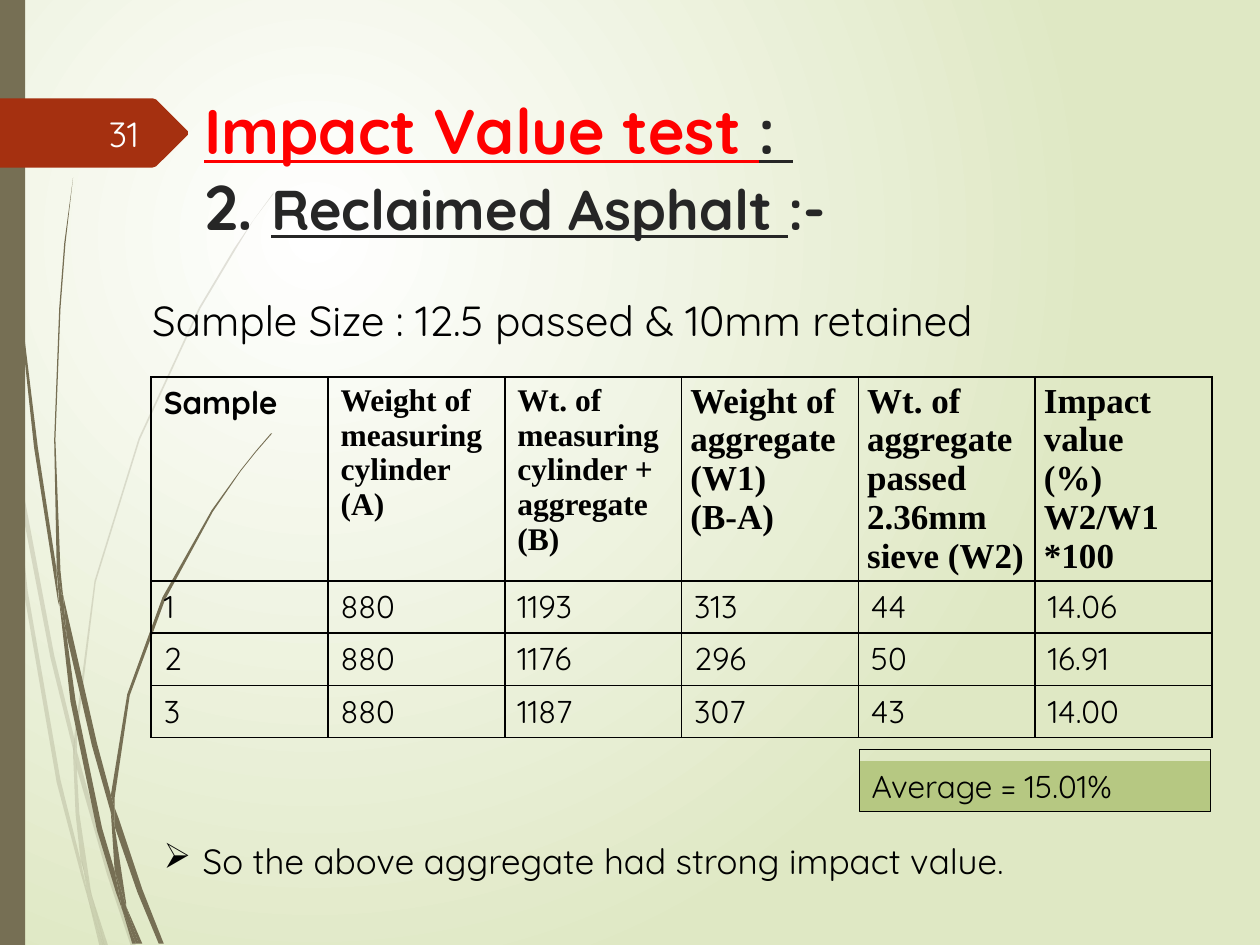
from lxml.etree import SubElement
from pptx import Presentation
from pptx.dml.color import RGBColor
from pptx.enum.shapes import MSO_SHAPE as Shape
from pptx.enum.text import MSO_ANCHOR as Anchor, MSO_AUTO_SIZE as AutoSize, PP_ALIGN as Align
from pptx.oxml.ns import qn
from pptx.util import Inches, Pt

# Grid of 1000 columns by 750 rows over the 10 x 7.5 inch slide
UNIT = Inches(0.01)
COLUMNS, ROWS = 1000, 750
COLOURS = {
    "centre": "FFFFFF", "edge": "DFE8C4", "stalk": "766F54", "tag": "A53010",
    "heading": "FF0000", "subheading": "262626", "number": "FEFFFF",
    "ink": "000000", "average": "B6C882",
}
SANS, SERIF = "Quicksand", "Times New Roman"

# Outline points of the grass blades, in grid columns and rows
PALE_BLADES = [
    "8,350 6,322 0,282 0,299 7,344",
    "40,522 59,599 59,586 43,520 10,345 12,376",
    "64,607 61,596 61,610 85,694 104,751 108,751 88,692",
    "83,751 86,751 73,711",
    "64,683 48,619 22,469 12,376 8,350 19,470 45,621 64,693 70,714 69,707",
    "58,599 60,646 64,683 67,692 73,711 72,706 63,646 61,610 61,608",
    "61,584 76,462 111,349 159,245 187,198 201,175 217,154 217,153 201,175 186,197 158,244 "
    "110,348 75,461 59,584 59,586 61,596",
    "70,714 79,751 82,751",
    "61,608 61,610 61,596 59,586 58,599",
    "67,692 65,683 69,707 70,714 82,751 83,751 73,711",
]
DARK_BLADES = [
    "5,110 14,233 27,355 46,477 47,481 45,457 45,453 30,355 15,232 6,109 4,48 3,0 2,0 3,48",
    "73,592 88,645 88,633 88,631 77,590 50,472 53,505",
    "94,649 91,641 91,656 109,708 126,749 130,749 113,706",
    "91,691 81,657 60,556 53,505 47,477 56,557 77,659 92,708 97,722 96,717",
    "50,472 48,453 44,349 48,245 52,193 58,141 51,193 47,245 43,349 45,449 49,472",
    "110,749 113,749 100,719",
    "47,477 53,505 50,472 49,472 45,449 45,453",
    "91,633 103,552 131,476 169,406 191,374 203,359 216,344 215,344 203,358 191,373 168,405 "
    "129,474 101,551 88,631 91,641",
    "97,722 105,749 108,749",
    "88,645 91,691 96,706 100,719 100,716 91,656 90,651",
    "88,645 90,651 91,656 91,641 88,631 88,633",
    "96,706 91,691 96,717 97,722 108,749 110,749 100,719",
]
NUMBER_TAG = "0,78 121,78 124,79 149,104 149,107 124,132 121,133 0,133"

HEADERS = [
    ["Sample"],
    ["Weight of measuring cylinder", "(A)"],
    ["Wt. of measuring cylinder + aggregate", "(B)"],
    ["Weight of aggregate", "(W1)", "(B-A)"],
    ["Wt. of aggregate passed 2.36mm sieve (W2)"],
    ["Impact value", "(%)", "W2/W1 *100"],
]
RESULTS = [
    ["1", "880", "1193", "313", "44", "14.06"],
    ["2", "880", "1176", "296", "50", "16.91"],
    ["3", "880", "1187", "307", "43", "14.00"],
]


def rgb(name):
    return RGBColor.from_string(COLOURS[name])


def grid(*lengths):
    return [round(length * UNIT) for length in lengths]


def add_run(paragraph, text, size, colour="ink", face=SANS, bold=False, underline=False):
    run = paragraph.add_run()
    run.text = text
    font = run.font
    font.size, font.name, font.bold, font.underline = Pt(size), face, bold, underline
    font.color.rgb = rgb(colour)


def paint_background(slide):
    fill = slide.background.fill
    fill.gradient()
    for stop, name, position in zip(fill.gradient_stops, ("centre", "edge"), (0, 1)):
        stop.color.rgb = rgb(name)
        stop.position = position
    gradient = slide.element.find(".//" + qn("a:gradFill"))
    gradient.remove(gradient.find(qn("a:lin")))
    circle = SubElement(gradient, qn("a:path"), path="circle")
    SubElement(circle, qn("a:fillToRect"), l="50000", t="50000", r="100000", b="100000")


def add_outline(shapes, points, colour, opacity=100):
    start, *rest = [tuple(map(int, point.split(","))) for point in points.split()]
    builder = shapes.build_freeform(*start, scale=UNIT)
    builder.add_line_segments(rest, close=True)
    outline = builder.convert_to_shape()
    outline.shadow.inherit = False
    outline.fill.solid()
    outline.fill.fore_color.rgb = rgb(colour)
    outline.line.fill.background()
    if opacity < 100:
        tint = outline.element.find(".//" + qn("a:srgbClr"))
        SubElement(tint, qn("a:alpha"), val=str(opacity * 1000))


def add_grass(slide, blades, opacity):
    clump = slide.shapes.add_group_shape()
    for blade in blades:
        add_outline(clump.shapes, blade, "stalk", opacity)


def add_rectangle(slide, place, fill=None, line=None):
    rectangle = slide.shapes.add_shape(Shape.RECTANGLE, *grid(*place))
    rectangle.shadow.inherit = False
    if fill:
        rectangle.fill.solid()
        rectangle.fill.fore_color.rgb = rgb(fill)
    else:
        rectangle.fill.background()
    if line:
        rectangle.line.color.rgb = rgb(line)
        rectangle.line.width = Pt(0.75)
    else:
        rectangle.line.fill.background()
    return rectangle


def add_text(slide, place):
    """Add a wrapping text box and return its frame."""
    frame = slide.shapes.add_textbox(*grid(*place)).text_frame
    frame.word_wrap = True
    return frame


def format_title(slide):
    title = slide.shapes.title
    title.left, title.top, title.width, title.height = grid(152, 68, 782, 140)
    title.element.getparent().append(title.element)  # in front of the grass
    frame = title.text_frame
    frame.auto_size = AutoSize.NONE
    frame.vertical_anchor = Anchor.TOP
    heading = frame.paragraphs[0]
    heading.alignment = Align.LEFT
    add_run(heading, "Impact Value test ", 36, "heading", bold=True, underline=True)
    add_run(heading, ": ", 36, "subheading", bold=True, underline=True)
    heading.add_line_break()
    add_run(heading, "2. ", 36, "subheading", bold=True)
    add_run(heading, "Reclaimed Asphalt ", 32, "subheading", bold=True, underline=True)
    add_run(heading, ":-", 32, "subheading", bold=True)


def fill_cell(cell, lines, **style):
    properties = cell._tc.get_or_add_tcPr()
    for side in ("a:lnL", "a:lnR", "a:lnT", "a:lnB"):
        border = SubElement(properties, qn(side), w=str(Pt(1)))
        solid = SubElement(border, qn("a:solidFill"))
        SubElement(solid, qn("a:srgbClr"), val=COLOURS["ink"])
    cell.fill.background()
    frame = cell.text_frame
    for index, line in enumerate(lines):
        paragraph = frame.add_paragraph() if index else frame.paragraphs[0]
        add_run(paragraph, line, **style)


def add_results(slide):
    place = grid(120, 299, 842, 286)
    table = slide.shapes.add_table(len(RESULTS) + 1, len(HEADERS), *place).table
    table.first_row = table.horz_banding = False
    for row, height in zip(table.rows, grid(162, *[41.33] * len(RESULTS))):
        row.height = height
    for column, header in enumerate(HEADERS):
        cell = table.cell(0, column)
        if column >= 3:
            cell.margin_left, cell.margin_top, cell.margin_right, cell.margin_bottom = grid(7, 4, 7, 4)
        fill_cell(cell, header, size=20 if column >= 3 else 18,
                  face=SERIF if column else SANS, bold=True)
        for row, result in enumerate(RESULTS, 1):
            fill_cell(table.cell(row, column), [result[column]], size=18)


def add_average(slide):
    average = add_rectangle(slide, (682, 604, 279, 40), fill="average")
    frame = average.text_frame
    frame.word_wrap = True
    frame.vertical_anchor = Anchor.TOP
    frame.paragraphs[0].alignment = Align.LEFT
    add_run(frame.paragraphs[0], "Average = 15.01%", 18)
    add_rectangle(slide, (682, 595, 279, 49), line="ink")


def add_conclusion(slide):
    conclusion = add_text(slide, (120, 661, 842, 44)).paragraphs[0]
    indent = round(31 * UNIT)
    properties = conclusion._p.get_or_add_pPr()
    properties.set("marL", str(indent))
    properties.set("indent", str(-indent))
    SubElement(properties, qn("a:buChar"), char="➢")
    add_run(conclusion, "So the above aggregate had strong impact value", 20)
    add_run(conclusion, ".", 18)


def main():
    deck = Presentation()
    deck.slide_width, deck.slide_height = grid(COLUMNS, ROWS)
    slide = deck.slides.add_slide(deck.slide_layouts[5])
    paint_background(slide)
    add_grass(slide, PALE_BLADES, 20)
    add_grass(slide, DARK_BLADES, 100)
    add_rectangle(slide, (0, 0, 20, ROWS), fill="stalk")
    add_outline(slide.shapes, NUMBER_TAG, "tag")
    format_title(slide)
    add_results(slide)
    number = add_text(slide, (56, 86, 64, 40))
    number.vertical_anchor = Anchor.MIDDLE
    number.paragraphs[0].alignment = Align.RIGHT
    add_run(number.paragraphs[0], "31", 20, "number")
    sample_size = add_text(slide, (111, 229, 719, 50))
    add_run(sample_size.paragraphs[0], "Sample Size : 12.5 passed & 10mm retained", 24)
    add_average(slide)
    add_conclusion(slide)
    deck.save("out.pptx")


if __name__ == "__main__":
    main()
